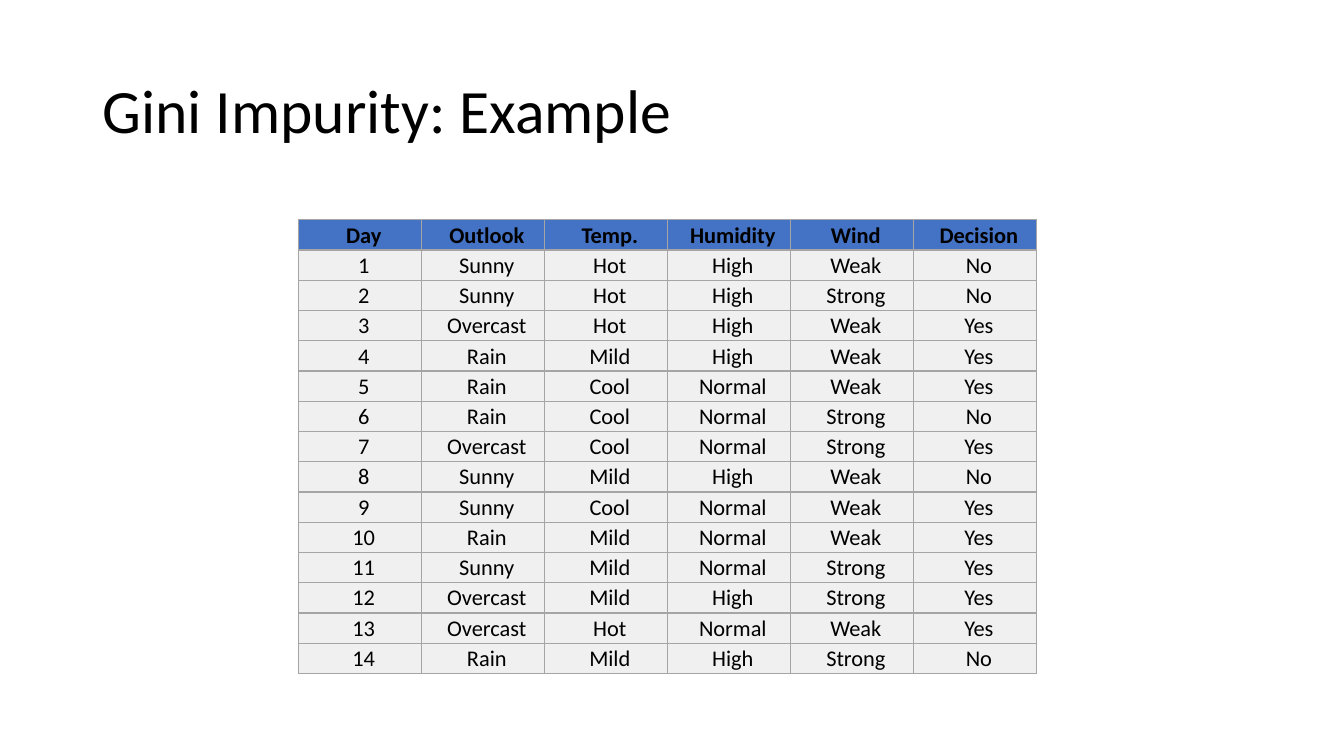
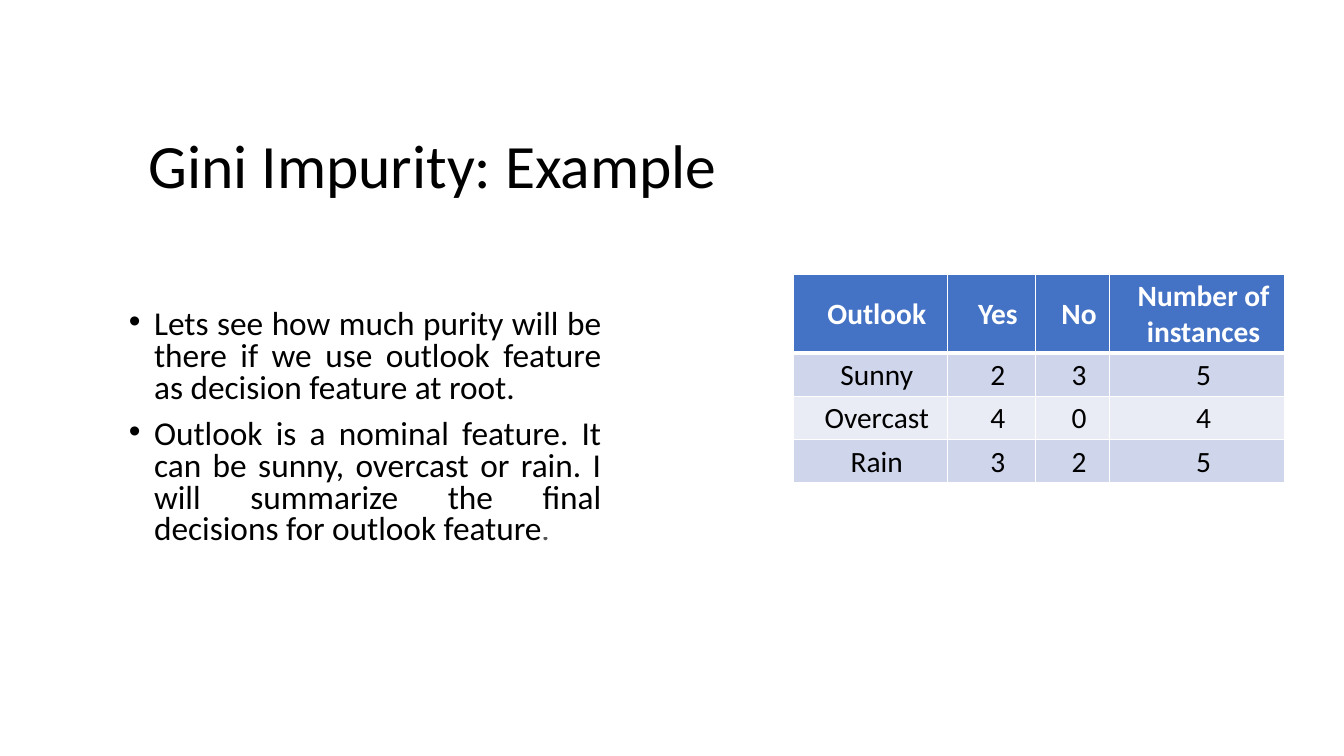
import pptx
import pptx.util
import pptx.dml.color
import pptx.enum.text
import pptx.oxml
import pptx.oxml.ns
from dataclasses import dataclass

Pt = pptx.util.Pt
ALIGN = pptx.enum.text.PP_ALIGN
ANCHOR = pptx.enum.text.MSO_ANCHOR

# Content
TITLE = "Gini Impurity: Example"
DAYS_HEAD = ("Day", "Outlook", "Temp.", "Humidity", "Wind", "Decision")
DAYS = [
    ("Sunny", "Hot", "High", "Weak", "No"),
    ("Sunny", "Hot", "High", "Strong", "No"),
    ("Overcast", "Hot", "High", "Weak", "Yes"),
    ("Rain", "Mild", "High", "Weak", "Yes"),
    ("Rain", "Cool", "Normal", "Weak", "Yes"),
    ("Rain", "Cool", "Normal", "Strong", "No"),
    ("Overcast", "Cool", "Normal", "Strong", "Yes"),
    ("Sunny", "Mild", "High", "Weak", "No"),
    ("Sunny", "Cool", "Normal", "Weak", "Yes"),
    ("Rain", "Mild", "Normal", "Weak", "Yes"),
    ("Sunny", "Mild", "Normal", "Strong", "Yes"),
    ("Overcast", "Mild", "High", "Strong", "Yes"),
    ("Overcast", "Hot", "Normal", "Weak", "Yes"),
    ("Rain", "Mild", "High", "Strong", "No"),
]
COUNT_HEAD = ("Outlook", "Yes", "No", "Number of instances")
COUNTS = [("Sunny", 2, 3, 5), ("Overcast", 4, 0, 4), ("Rain", 3, 2, 5)]
POINTS = [
    ("Lets see how much purity will be there if we use outlook feature "
     "as decision feature at root.",),
    ("Outlook is a nominal feature. It can be sunny, overcast or rain. "
     "I will summarize the final decisions for outlook feature", "."),
]


@dataclass(frozen=True)
class Theme:
    font: str = "Calibri"
    black: str = "000000"
    white: str = "FFFFFF"
    blue: str = "4472C4"
    grey: str = "F0F0F0"
    rule: str = "A5A5A5"
    dark: str = "CFD5EA"
    pale: str = "E9EBF5"
    faint: str = "0D0D0D"
    title: float = 44
    body: float = 23.8
    days: float = 16
    counts: float = 21


LOOK = Theme()


@dataclass(frozen=True)
class Grid:
    """Style of one table; lengths in points."""
    size: float
    ink: str          # header text
    bands: tuple      # body fills, in turn
    rule: str
    under: float      # line below the header
    side: float       # left inset
    edge: float       # right and top inset


DAY_GRID = Grid(LOOK.days, LOOK.black, (LOOK.grey,), LOOK.rule, 1, 6.5, 0.7)
COUNT_GRID = Grid(LOOK.counts, LOOK.white, (LOOK.dark, LOOK.pale),
                  LOOK.white, 3, 10.8, 1.4)


def rgb(code):
    return pptx.dml.color.RGBColor.from_string(code)


def ink(run, size, color, bold=False):
    font = run.font
    font.name, font.size, font.bold = LOOK.font, Pt(size), bold
    font.color.rgb = rgb(color)


def node(tag, **attrs):
    item = pptx.oxml.parse_xml(f"<a:{tag} {pptx.oxml.ns.nsdecls('a')}/>")
    for key, value in attrs.items():
        item.set(key, str(value))
    return item


def add_page(deck, box, align, anchor):
    page = deck.slides.add_slide(deck.slide_layouts[5])
    title = page.shapes.title
    title.left, title.top, title.width, title.height = map(Pt, box)
    frame = title.text_frame
    frame.text = TITLE
    frame.auto_size = pptx.enum.text.MSO_AUTO_SIZE.NONE
    frame.vertical_anchor = anchor
    para = frame.paragraphs[0]
    para.alignment, para.line_spacing = align, 0.9
    ink(para.runs[0], LOOK.title, LOOK.black)
    return page


def set_edge(cell, side, width, color):
    line = node("ln" + side, w=Pt(width))
    fill = node("solidFill")
    fill.append(node("srgbClr", val=color))
    line.append(fill)
    cell._tc.get_or_add_tcPr().append(line)


def fill_cell(cell, text, row, grid):
    head = row == 0
    cell.text_frame.text = str(text)
    cell.vertical_anchor = ANCHOR.MIDDLE
    cell.margin_left = Pt(grid.side)
    cell.margin_right = cell.margin_top = Pt(grid.edge)
    cell.margin_bottom = 0
    para = cell.text_frame.paragraphs[0]
    para.alignment = ALIGN.CENTER
    ink(para.runs[0], grid.size, grid.ink if head else LOOK.black, head)
    # Borders go before the fill in the cell's XML
    widths = {"L": 1, "R": 1, "T": grid.under if row == 1 else 1,
              "B": grid.under if head else 1}
    for side, width in widths.items():
        set_edge(cell, side, width, grid.rule)
    cell.fill.solid()
    band = grid.bands[(row - 1) % len(grid.bands)]
    cell.fill.fore_color.rgb = rgb(LOOK.blue if head else band)


def add_grid(page, left, top, cols, tall, rows, grid):
    table = page.shapes.add_table(len(rows), len(cols), Pt(left), Pt(top),
                                  Pt(sum(cols)), Pt(sum(tall))).table
    for col, width in zip(table.columns, cols):
        col.width = Pt(width)
    for r, (row, height) in enumerate(zip(rows, tall)):
        table.rows[r].height = Pt(height)
        for c, text in enumerate(row):
            fill_cell(table.cell(r, c), text, r, grid)


def add_points(page, box):
    frame = page.shapes.add_textbox(*map(Pt, box)).text_frame
    frame.word_wrap = True
    for i, parts in enumerate(POINTS):
        para = frame.add_paragraph() if i else frame.paragraphs[0]
        para.alignment = ALIGN.JUSTIFY
        para.line_spacing, para.space_before = 0.8, Pt(10)
        props = para._p.get_or_add_pPr()
        props.set("marL", str(Pt(18)))
        props.set("indent", str(Pt(-18)))
        props.append(node("buFont", typeface="Arial"))
        props.append(node("buChar", char="•"))
        for j, part in enumerate(parts):
            run = para.add_run()
            run.text = part
            ink(run, LOOK.body, LOOK.faint if j else LOOK.black)
            if j:  # the closing mark is see-through
                tint = run._r.rPr.find(".//" + pptx.oxml.ns.qn("a:srgbClr"))
                tint.append(node("alpha", val=70000))


def main():
    deck = pptx.Presentation()
    deck.slide_width, deck.slide_height = Pt(960), Pt(540)

    # Table of days
    page = add_page(deck, (66, 28.75, 828, 104.4), ALIGN.LEFT, ANCHOR.MIDDLE)
    rows = [DAYS_HEAD] + [(n, *day) for n, day in enumerate(DAYS, 1)]
    add_grid(page, 213, 157, [87.9] * len(DAYS_HEAD), [21.6] * len(rows),
             rows, DAY_GRID)

    # Outlook summary
    page = add_page(deck, (85, 42.5, 448.5, 105), ALIGN.CENTER, ANCHOR.BOTTOM)
    add_points(page, (85, 217.5, 351.5, 181.5))
    add_grid(page, 566.6, 196, (110, 63, 53, 125), [56] + [31] * len(COUNTS),
             [COUNT_HEAD] + COUNTS, COUNT_GRID)

    deck.save("out.pptx")


if __name__ == "__main__":
    main()
